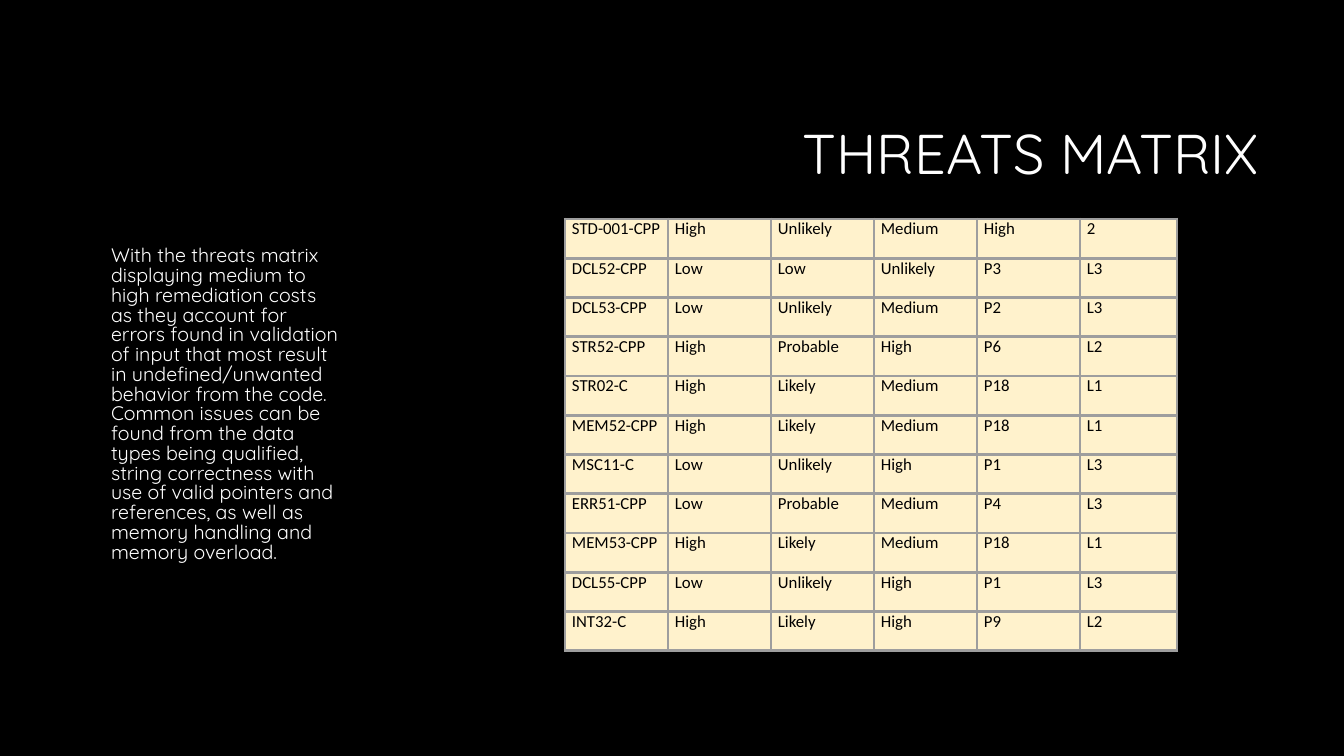
from lxml.etree import SubElement
from pptx import Presentation
from pptx.dml.color import RGBColor
from pptx.enum.text import MSO_ANCHOR, MSO_AUTO_SIZE, PP_ALIGN
from pptx.oxml.ns import qn
from pptx.util import Pt

C = {"black": "000000", "white": "FFFFFF", "cream": "FFF2CC", "grey": "9E9E9E"}


def px(n):
    return round(n * 914400 / 100.8)


def add_run(p, text, font, size, color):
    r = p.add_run()
    r.text = text
    r.font.name = font
    r.font.size = Pt(size)
    r.font.color.rgb = RGBColor.from_string(C[color])


prs = Presentation()
prs.slide_width, prs.slide_height = px(1344), px(756)
s = prs.slides.add_slide(prs.slide_layouts[1])
s.background.fill.solid()
s.background.fill.fore_color.rgb = RGBColor.from_string(C["black"])

title, body = s.placeholders
title.left, title.top, title.width, title.height = px(320), px(85), px(949), px(142)
tf = title.text_frame
tf.auto_size = MSO_AUTO_SIZE.NONE
tf.vertical_anchor = MSO_ANCHOR.MIDDLE
p = tf.paragraphs[0]
p.alignment = PP_ALIGN.RIGHT
p.line_spacing = 0.9
add_run(p, "THREATS MATRIX", "Quicksand", 40, "white")

body.left, body.top, body.width, body.height = px(76), px(242), px(274), px(444)
tf = body.text_frame
tf.auto_size = MSO_AUTO_SIZE.NONE
p = tf.paragraphs[0]
p.line_spacing = 0.84
p.space_before = Pt(0)
pPr = p._p.get_or_add_pPr()
pPr.set("marL", str(px(25)))
pPr.set("indent", "0")
SubElement(pPr, qn("a:buNone"))
add_run(p, "With the threats matrix displaying medium to high remediation costs as they "
        "account for errors found in validation of input that most result in "
        "undefined/unwanted behavior from the code. Common issues can be found from the "
        "data types being qualified, string correctness with use of valid pointers and "
        "references, as well as memory handling and memory overload.",
        "Quicksand", 14, "white")

threats = [
    ("STD-001-CPP", "High", "Unlikely", "Medium", "High", "2"),
    ("DCL52-CPP", "Low", "Low", "Unlikely", "P3", "L3"),
    ("DCL53-CPP", "Low", "Unlikely", "Medium", "P2", "L3"),
    ("STR52-CPP", "High", "Probable", "High", "P6", "L2"),
    ("STR02-C", "High", "Likely", "Medium", "P18", "L1"),
    ("MEM52-CPP", "High", "Likely", "Medium", "P18", "L1"),
    ("MSC11-C", "Low", "Unlikely", "High", "P1", "L3"),
    ("ERR51-CPP", "Low", "Probable", "Medium", "P4", "L3"),
    ("MEM53-CPP", "High", "Likely", "Medium", "P18", "L1"),
    ("DCL55-CPP", "Low", "Unlikely", "High", "P1", "L3"),
    ("INT32-C", "High", "Likely", "High", "P9", "L2"),
]
widths = [103] * 5 + [97]
tbl = s.shapes.add_table(len(threats), len(widths), px(565), px(219),
                         px(sum(widths)), px(432)).table
tbl.first_row = tbl.horz_banding = False
for col, w in zip(tbl.columns, widths):
    col.width = px(w)

for i, row in enumerate(threats):
    for j, text in enumerate(row):
        cell = tbl.cell(i, j)
        cell.margin_left = cell.margin_right = px(7)
        cell.margin_top = cell.margin_bottom = 0
        tcPr = cell._tc.get_or_add_tcPr()
        for side in ("lnL", "lnR", "lnT", "lnB"):
            ln = SubElement(tcPr, qn(f"a:{side}"), w=str(Pt(2.25)))
            fill = SubElement(ln, qn("a:solidFill"))
            SubElement(fill, qn("a:srgbClr"), val=C["grey"])
        cell.fill.solid()
        cell.fill.fore_color.rgb = RGBColor.from_string(C["cream"])
        add_run(cell.text_frame.paragraphs[0], text, "Calibri", 12, "black")

prs.save("out.pptx")
